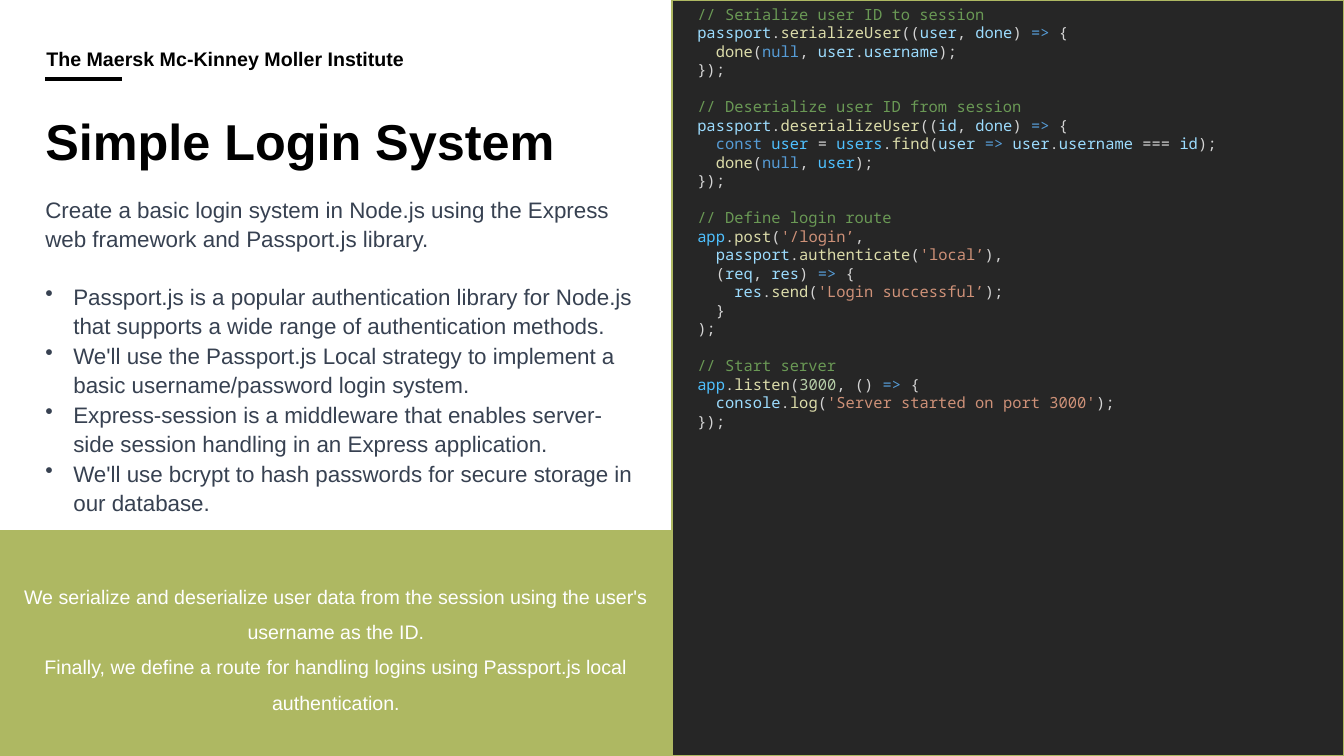
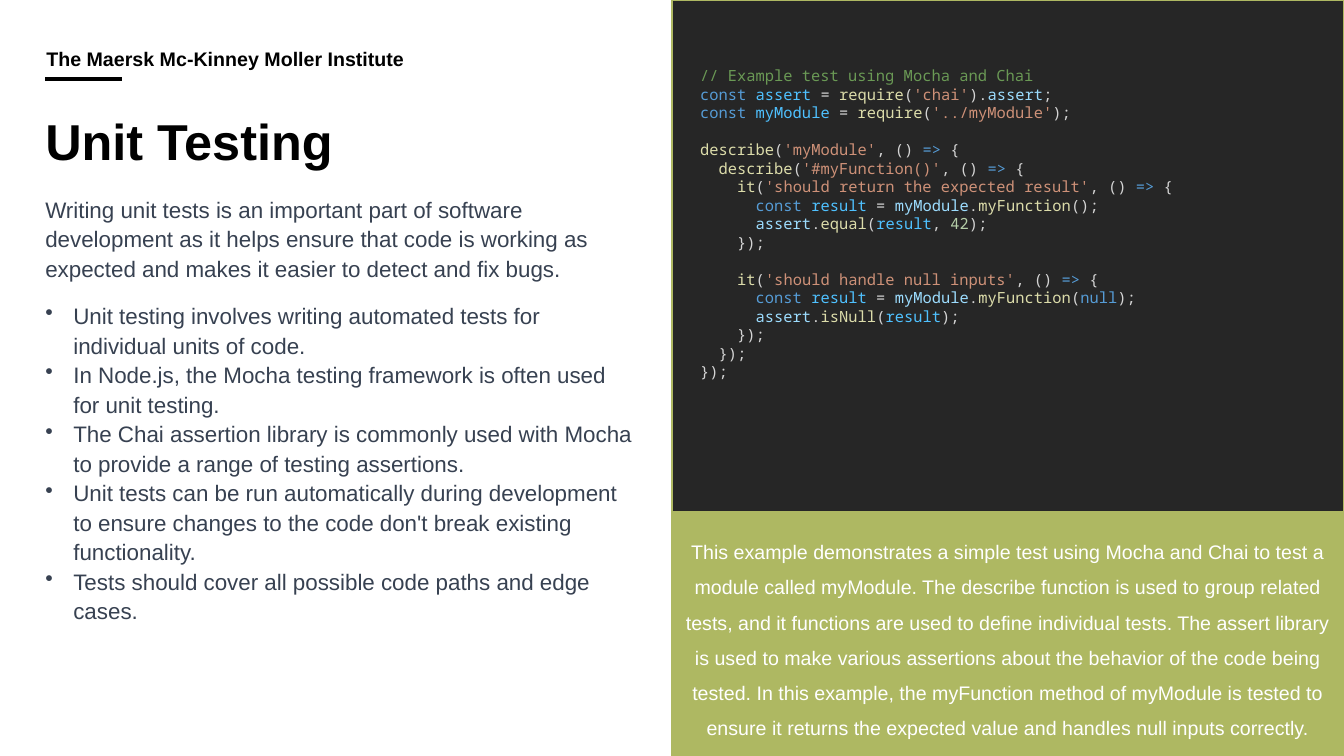
from itertools import groupby, takewhile

from lxml import etree
from pptx import Presentation
from pptx import util as u
from pptx.dml import color
from pptx.enum import shapes, text
from pptx.oxml import ns

Pt = u.Pt
WIDTH, HEIGHT = 960, 540
HALF = WIDTH / 2
MARGIN = 32.4
COLUMN_WIDTH = 420.5
CODE_LINE = 13.2

BLACK, WHITE, SLATE, OLIVE, CHARCOAL = "000000", "FFFFFF", "374151", "AEB862", "262626"
SYNTAX = {
    "comment": "6A9955", "keyword": "569CD6", "function": "DCDCAA", "string": "CE9178",
    "number": "B5CEA8", "constant": "4FC1FF", "variable": "9CDCFE", "plain": "D4D4D4",
}
KEYWORDS = {"const", "null"}

HEADER = {"name": "Arial", "size": Pt(14), "bold": True}
TITLE = {"name": "Arial", "size": Pt(36), "bold": True}
BODY = {"name": "Arial", "size": Pt(16)}
NOTE = {"name": "Arial", "size": Pt(14)}
CODE = {"name": "Noto Sans Mono", "size": Pt(11)}

INSTITUTE = "The Maersk Mc-Kinney Moller Institute"

# A tilde in front of a name in the code listings marks it as a constant.
LOGIN_CODE = """// Serialize user ID to session
passport.serializeUser((user, done) => {
  done(null, user.username);
});

// Deserialize user ID from session
passport.deserializeUser((id, done) => {
  const ~user = ~users.find(user => user.username === id);
  done(null, ~user);
});

// Define login route
~app.post('/login’,
  passport.authenticate('local’),
  (req, res) => {
    res.send('Login successful’);
  }
);

// Start server
~app.listen(3000, () => {
  console.log('Server started on port 3000');
});"""

TEST_CODE = """// Example test using Mocha and Chai
const ~assert = require('chai').assert;
const ~myModule = require('../myModule');

describe('myModule', () => {
  describe('#myFunction()', () => {
    it('should return the expected result', () => {
      const ~result = myModule.myFunction();
      assert.equal(~result, 42);
    });

    it('should handle null inputs', () => {
      const ~result = myModule.myFunction(null);
      assert.isNull(~result);
    });
  });
});"""


def rgb(value):
    return color.RGBColor.from_string(value)


def apply(target, values):
    for name, value in values.items():
        setattr(target, name, value)


def set_font(font, values, colour):
    apply(font, values)
    font.color.rgb = rgb(colour)


def set_frame(frame, insets, anchor=text.MSO_ANCHOR.TOP):
    left, top, right, bottom = map(Pt, insets)
    apply(frame, {"word_wrap": True, "vertical_anchor": anchor, "margin_left": left,
                  "margin_top": top, "margin_right": right, "margin_bottom": bottom})


def add_bullet(paragraph, indent):
    properties = paragraph._p.get_or_add_pPr()
    properties.set("marL", str(Pt(indent)))
    properties.set("indent", str(-Pt(indent)))
    etree.SubElement(properties, ns.qn("a:buChar")).set("char", "•")


def write(frame, lines, font, colour, layout, bullet_indent=0):
    for index, line in enumerate(lines):
        paragraph = frame.add_paragraph() if index else frame.paragraphs[0]
        if bullet_indent:
            add_bullet(paragraph, bullet_indent)
        apply(paragraph, layout)
        run = paragraph.add_run()
        run.text = line
        set_font(run.font, font, colour)


def add_text(slide, box, insets=(0, 0, 0, 0), anchor=text.MSO_ANCHOR.TOP):
    frame = slide.shapes.add_textbox(*map(Pt, box)).text_frame
    set_frame(frame, insets, anchor)
    return frame


def add_panel(slide, box, fill):
    shape = slide.shapes.add_shape(shapes.MSO_SHAPE.RECTANGLE, *map(Pt, box))
    shape.shadow.inherit = False
    shape.fill.solid()
    shape.fill.fore_color.rgb = rgb(fill)
    shape.line.color.rgb = rgb(OLIVE)
    shape.line.width = Pt(1)
    return shape


def split_tokens(line):
    if line.startswith("//"):
        yield line, "comment"
        return
    while line:
        first = line[0]
        length, kind = 1, "plain"
        if first == "'":
            length = 2 + len(list(takewhile(lambda letter: letter not in "'’", line[1:])))
            kind = "string"
        elif line.startswith("=>"):
            length, kind = 2, "keyword"
        elif first == "~" or first.isalnum():
            name = first + "".join(takewhile(str.isalnum, line[1:]))
            length = len(name)
            if first == "~":
                kind = "constant"
            elif name in KEYWORDS:
                kind = "keyword"
            elif name.isdigit():
                kind = "number"
            else:
                kind = "function" if line[length:].startswith("(") else "variable"
        yield line[:length].lstrip("~"), kind
        line = line[length:]


def write_code(frame, code):
    paragraph, gap = frame.paragraphs[0], 0
    for index, line in enumerate(code.split("\n")):
        if not line:
            gap = CODE_LINE
            continue
        if index:
            paragraph = frame.add_paragraph()
        paragraph.space_before, gap = Pt(gap), 0
        for kind, tokens in groupby(split_tokens(line), key=lambda token: token[1]):
            run = paragraph.add_run()
            run.text = "".join(token[0] for token in tokens)
            set_font(run.font, CODE, SYNTAX[kind])


def header(slide, left, top):
    rule_top = top + 20.9
    rule = slide.shapes.add_connector(shapes.MSO_CONNECTOR.STRAIGHT, Pt(left), Pt(rule_top),
                                      Pt(left + 54.7), Pt(rule_top))
    rule.line.color.rgb = rgb(BLACK)
    rule.line.width = Pt(3)
    etree.SubElement(rule._element.spPr, ns.qn("a:effectLst"))
    frame = add_text(slide, (left, top, 448, 22.3), (0.7, 0, 0, 7.2), text.MSO_ANCHOR.BOTTOM)
    write(frame, [INSTITUTE], HEADER, BLACK, {"line_spacing": 0.9})


def explanation(slide, box, title, intro, points, points_top):
    left, top, width, height = box
    header(slide, left, top + 35.3)
    write(add_text(slide, (left, top + 78.5, 432, 50)), [title], TITLE, BLACK, {})
    intro_top = top + 138.2
    frame = add_text(slide, (left, intro_top, width, points_top - intro_top))
    write(frame, [intro], BODY, SLATE, {"line_spacing": 1.1})
    frame = add_text(slide, (left, points_top, width, height - points_top))
    write(frame, points, BODY, SLATE, {"line_spacing": 1.1}, 20)


def code_panel(slide, box, code, offset):
    left, top, width, height = box
    add_panel(slide, box, CHARCOAL)
    across, down = offset
    frame = add_text(slide, (left + across, top + down, 453.6, 314), (7.2, 3.6, 7.2, 3.6))
    write_code(frame, code)


def note_panel(slide, box, lines):
    frame = add_panel(slide, box, OLIVE).text_frame
    set_frame(frame, (5.7,) * 4, text.MSO_ANCHOR.MIDDLE)
    write(frame, lines, NOTE, WHITE, {"alignment": text.PP_ALIGN.CENTER, "line_spacing": 1.5})


def lesson_slide(presentation, lesson):
    slide = presentation.slides.add_slide(presentation.slide_layouts[6])
    code_panel(slide, (HALF, 0, HALF, HEIGHT), lesson["code"], lesson["code_offset"])
    explanation(slide, (MARGIN, 0, COLUMN_WIDTH, HEIGHT), lesson["title"], lesson["intro"],
                lesson["points"], lesson["points_top"])
    note_top = lesson["note_top"]
    note_panel(slide, (lesson["note_left"], note_top, HALF, HEIGHT - note_top), lesson["note"])


LESSONS = [
    {
        "title": "Simple Login System",
        "intro": "Create a basic login system in Node.js using the Express web framework "
                 "and Passport.js library.",
        "points": [
            "Passport.js is a popular authentication library for Node.js that supports "
            "a wide range of authentication methods.",
            "We'll use the Passport.js Local strategy to implement a basic "
            "username/password login system.",
            "Express-session is a middleware that enables server-side session handling "
            "in an Express application.",
            "We'll use bcrypt to hash passwords for secure storage in our database.",
        ],
        "points_top": 200,
        "code": LOGIN_CODE,
        "code_offset": (11, 0),
        "note": [
            "We serialize and deserialize user data from the session using the user's "
            "username as the ID.",
            "Finally, we define a route for handling logins using Passport.js local "
            "authentication.",
        ],
        "note_left": 0,
        "note_top": 379.4,
    },
    {
        "title": "Unit Testing",
        "intro": "Writing unit tests is an important part of software development as it helps "
                 "ensure that code is working as expected and makes it easier to detect and "
                 "fix bugs.",
        "points": [
            "Unit testing involves writing automated tests for individual units of code.",
            "In Node.js, the Mocha testing framework is often used for unit testing.",
            "The Chai assertion library is commonly used with Mocha to provide a range of "
            "testing assertions.",
            "Unit tests can be run automatically during development to ensure changes to "
            "the code don't break existing functionality.",
            "Tests should cover all possible code paths and edge cases.",
        ],
        "points_top": 214,
        "code": TEST_CODE,
        "code_offset": (13, 44),
        "note": [
            "This example demonstrates a simple test using Mocha and Chai to test a module "
            "called myModule. The describe function is used to group related tests, and it "
            "functions are used to define individual tests. The assert library is used to "
            "make various assertions about the behavior of the code being tested. In this "
            "example, the myFunction method of myModule is tested to ensure it returns the "
            "expected value and handles null inputs correctly.",
        ],
        "note_left": HALF,
        "note_top": 365.8,
    },
]


def main():
    presentation = Presentation()
    apply(presentation, {"slide_width": Pt(WIDTH), "slide_height": Pt(HEIGHT)})
    for lesson in LESSONS:
        lesson_slide(presentation, lesson)
    presentation.save("out.pptx")


if __name__ == "__main__":
    main()
